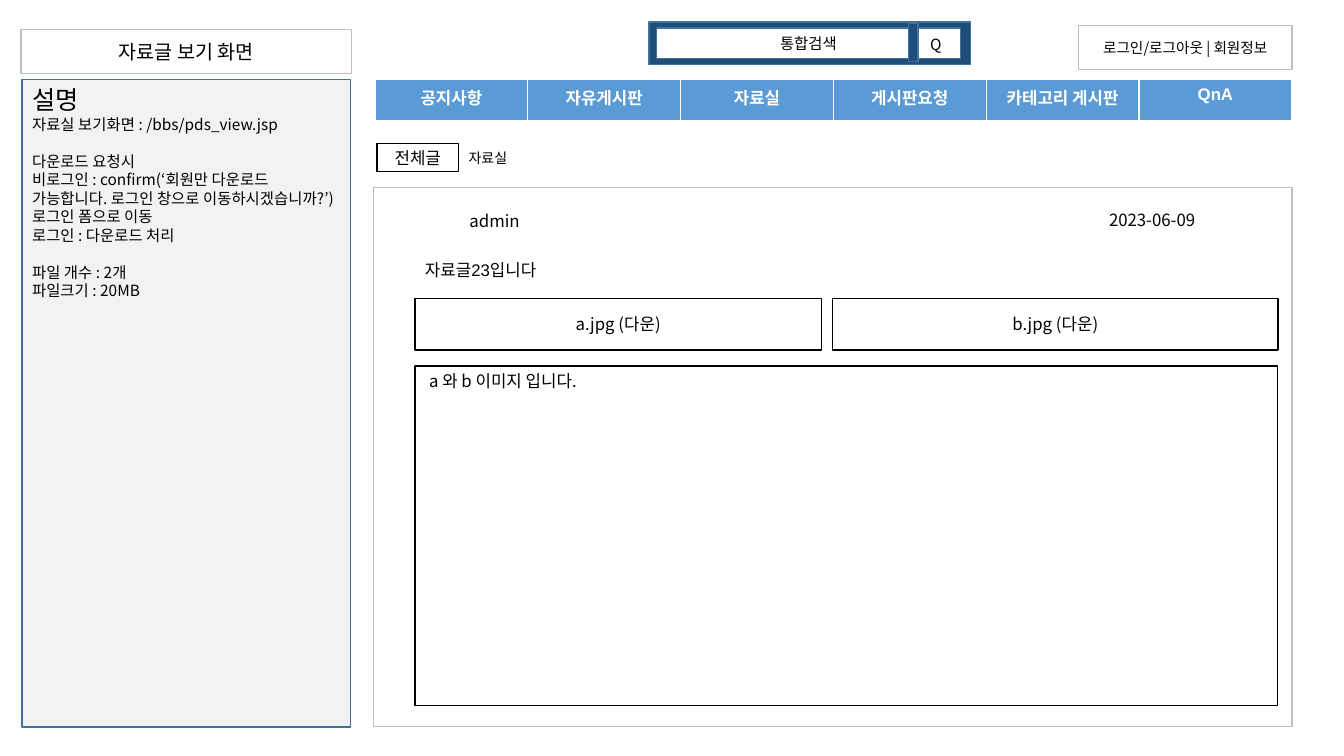
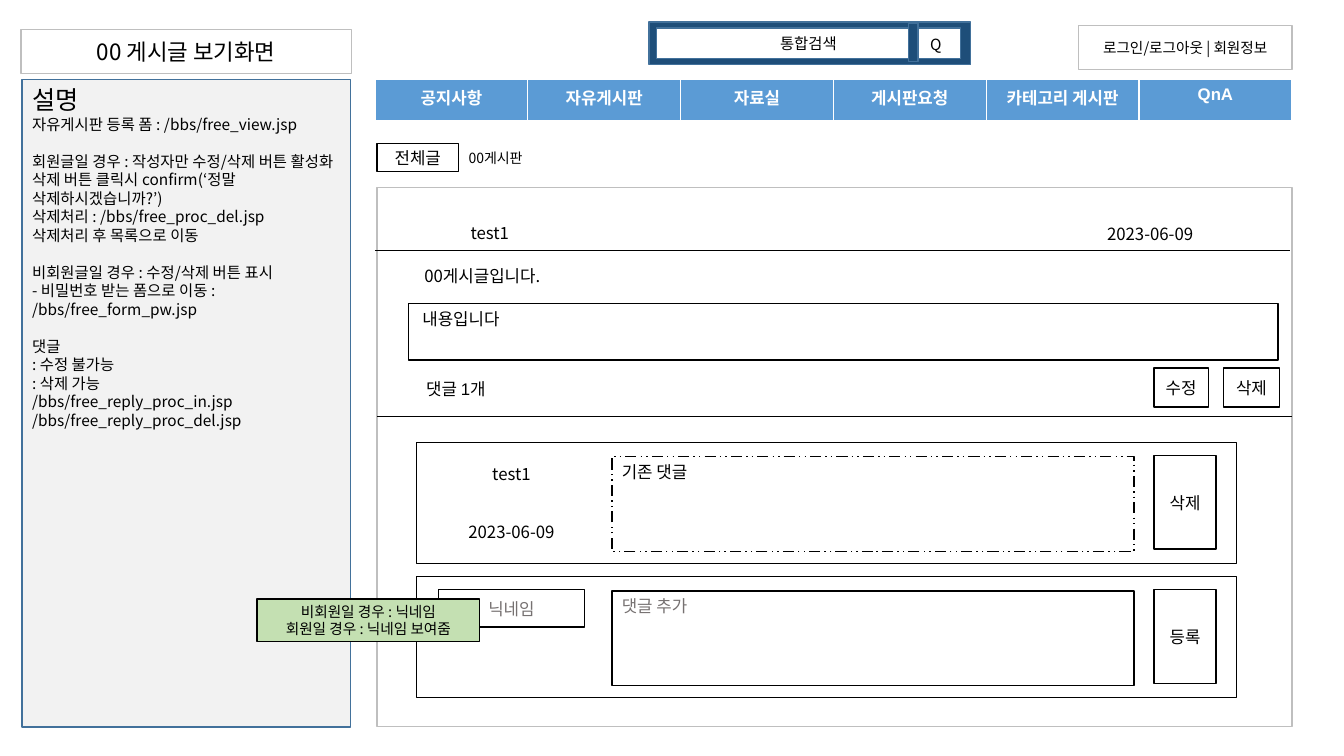
"""Build two wireframe slides of a bulletin board: a file post and a free post."""
from lxml import etree
from pptx import Presentation
from pptx import util as u
from pptx.dml.color import RGBColor
from pptx.enum import dml, shapes, text
from pptx.oxml import ns

WHITE = RGBColor(0xFF, 0xFF, 0xFF)
BLACK = RGBColor(0x00, 0x00, 0x00)
GRAY = RGBColor(0xBF, 0xBF, 0xBF)
HINT = RGBColor(0x76, 0x71, 0x71)
PANEL = RGBColor(0xF2, 0xF2, 0xF2)
NAVY = RGBColor(0x1E, 0x4E, 0x79)
EDGE = RGBColor(0x42, 0x71, 0x9B)
BLUE = RGBColor(0x5B, 0x9B, 0xD5)
GREEN = RGBColor(0xC4, 0xE0, 0xB2)
KOREAN, LATIN = "Noto Sans CJK KR", "Arial"
LEADING = 1.2

MENU = ["공지사항", "자유게시판", "자료실", "게시판요청", "카테고리 게시판", "QnA"]
LEFT = {"align": text.PP_ALIGN.LEFT}
TOP_LEFT = {**LEFT, "anchor": text.MSO_ANCHOR.TOP}
INDENTED = {**TOP_LEFT, "indent": 0.1}
PLAIN = {"line": None}

FILE_POST = {
    "title": "자료글 보기 화면",
    "title_size": 14,
    "crumb": "자료실",
    "frame": (9.42, 4.72, 23.14, 13.59),
    "notes": [
        ["자료실 보기화면 : /bbs/pds_view.jsp"],
        ["다운로드 요청시",
         "비로그인 : confirm(‘회원만 다운로드 가능합니다. 로그인 창으로 이동하시겠습니까?’)로그인 폼으로 이동",
         "로그인 : 다운로드 처리"],
        ["파일 개수 : 2개", "파일크기 : 20MB"],
    ],
    "parts": [
        ("자료글23입니다", (10.46, 6.27, 21.74, 1.04), {**PLAIN, **LEFT, "font": LATIN}),
        ("admin", (10.46, 5.05, 4.01, 1.04), PLAIN),
        ("2023-06-09", (25.86, 5.03, 6.35, 1.04), PLAIN),
        ("a 와 b 이미지 입니다.", (10.46, 9.22, 21.74, 8.56), INDENTED),
        ("a.jpg (다운)", (10.46, 7.52, 10.24, 1.3), {}),
        ("b.jpg (다운)", (20.98, 7.52, 11.23, 1.3), {}),
    ],
}
FREE_POST = {
    "title": "00 게시글 보기화면",
    "title_size": 16,
    "crumb": "00게시판",
    "frame": (9.5, 4.72, 23.06, 13.59),
    "notes": [
        ["자유게시판 등록 폼 : /bbs/free_view.jsp"],
        ["회원글일 경우 : 작성자만 수정/삭제 버튼 활성화",
         "삭제 버튼 클릭시 confirm(‘정말 삭제하시겠습니까?’)",
         "삭제처리 : /bbs/free_proc_del.jsp",
         "삭제처리 후 목록으로 이동"],
        ["비회원글일 경우 : 수정/삭제 버튼 표시",
         "- 비밀번호 받는 폼으로 이동 : /bbs/free_form_pw.jsp"],
        ["댓글", ": 수정 불가능", ": 삭제 가능",
         "/bbs/free_reply_proc_in.jsp", "/bbs/free_reply_proc_del.jsp"],
    ],
    "parts": [
        ("수정", (29.08, 9.27, 1.37, 0.99), {}),
        ("00게시글입니다.", (10.34, 6.53, 21.89, 0.84), {**PLAIN, **LEFT, "indent": 0.1}),
        ("삭제", (30.84, 9.27, 1.4, 0.99), {}),
        ("내용입니다", (10.29, 7.65, 21.92, 1.42), INDENTED),
        ("test1", (10.34, 5.41, 4.01, 0.89), PLAIN),
        ("2023-06-09", (25.81, 5.49, 6.35, 0.81), PLAIN),
        ("댓글 1개", (10.49, 9.42, 4.22, 0.76), {**PLAIN, **LEFT, "font": LATIN}),
    ],
}
REPLIES = [
    {"top": 11.15, "name": "test1", "name_style": PLAIN, "date": "2023-06-09", "body": "기존 댓글",
     "body_style": {"dash": dml.MSO_LINE.DASH_DOT_DOT}, "button": "삭제"},
    {"top": 14.53, "name": "닉네임", "name_style": {"color": HINT}, "date": None, "body": "댓글 추가",
     "body_style": {"color": HINT}, "button": "등록"},
]
RULES = [(9.5, 32.56, 10.49), (9.45, 32.51, 6.3)]
CALLOUT = ["비회원일 경우 : 닉네임", "회원일 경우 : 닉네임 보여줌"]


def style_font(para, size, color, font, bold=False):
    """Format every run of a paragraph, for Latin and Korean letters."""
    for span in para.runs:
        span.font.size = u.Pt(size)
        span.font.name = font
        span.font.bold = bold
        span.font.color.rgb = color
        east = etree.SubElement(span.font._element, ns.qn("a:ea"))
        east.set("typeface", KOREAN)


def add_box(parent, rect, lines=(), size=12, fill=WHITE, line=BLACK, color=BLACK, font=KOREAN,
            align=text.PP_ALIGN.CENTER, anchor=text.MSO_ANCHOR.MIDDLE, indent=0, dash=None):
    """Add a rectangle with one paragraph for each line."""
    box = parent.add_shape(shapes.MSO_SHAPE.RECTANGLE, *map(u.Cm, rect))
    box.shadow.inherit = False
    box.fill.solid()
    box.fill.fore_color.rgb = fill
    if line is None:
        box.line.fill.background()
    else:
        box.line.color.rgb = line
        box.line.width = u.Pt(1)
        if dash:
            box.line.dash_style = dash
    frame = box.text_frame
    frame.word_wrap = True
    frame.vertical_anchor = anchor
    frame.margin_left += u.Cm(indent)
    frame.text = "\n".join(lines)
    for para in frame.paragraphs:
        para.alignment = align
        para.line_spacing = u.Pt(size * LEADING)
        style_font(para, size, color, font)
    return box


def add_label(parent, rect, label, size, align):
    """Add a small text box without fill."""
    box = parent.add_textbox(*map(u.Cm, rect))
    box.text_frame.word_wrap = True
    box.text_frame.vertical_anchor = text.MSO_ANCHOR.MIDDLE
    box.text_frame.text = label
    para = box.text_frame.paragraphs[0]
    para.alignment = align
    style_font(para, size, BLACK, KOREAN)


def add_search(page):
    """Add the grouped search bar."""
    group = page.shapes.add_group_shape().shapes
    add_box(group, (16.36, 0.56, 8.1, 1.07), fill=NAVY, line=EDGE)
    add_box(group, (16.54, 0.71, 7.67, 0.76), ["통합검색"], size=11, line=EDGE)
    add_box(group, (22.89, 0.58, 0.25, 0.97), fill=NAVY, line=EDGE)
    add_label(group, (23.14, 0.61, 0.89, 1.02), "Q", 11, text.PP_ALIGN.CENTER)


def add_menu(page):
    """Add the menu bar as a table of one row."""
    rect = map(u.Cm, (9.45, 2.01, 23.11, 1.04))
    table = page.shapes.add_table(1, len(MENU), *rect).table
    table.horz_banding = False
    for cell, label in zip(table.rows[0].cells, MENU):
        cell.fill.solid()
        cell.fill.fore_color.rgb = BLUE
        cell.text_frame.text = label
        para = cell.text_frame.paragraphs[0]
        para.alignment = text.PP_ALIGN.CENTER
        style_font(para, 12, WHITE, LATIN, bold=True)


def add_notes(page, groups):
    """Add the description panel, with a gap before each later group."""
    lines = ["설명"] + [line for group in groups for line in group]
    panel = add_box(page.shapes, (0.56, 2.01, 8.28, 16.31), lines, size=11,
                    fill=PANEL, line=EDGE, **TOP_LEFT)
    paras = panel.text_frame.paragraphs
    paras[0].runs[0].font.size = u.Pt(18)
    paras[0].line_spacing = u.Pt(18 * LEADING)
    start = 1
    for group in groups[:-1]:
        start += len(group)
        paras[start].space_before = u.Pt(11 * LEADING)


def add_reply(page, reply):
    """Add one reply row: author, text and button."""
    top = reply["top"]
    add_box(page.shapes, (10.49, top, 20.68, 3.05))
    add_box(page.shapes, (11.05, top + 0.33, 3.68, 0.94), [reply["name"]], **reply["name_style"])
    if reply["date"]:
        add_box(page.shapes, (11.05, top + 1.78, 3.68, 0.94), [reply["date"]], **PLAIN)
    add_box(page.shapes, (15.42, top + 0.36, 13.16, 2.39), [reply["body"]],
            **TOP_LEFT, **reply["body_style"])
    add_box(page.shapes, (29.08, top + 0.33, 1.57, 2.36), [reply["button"]])


def add_rule(page, left, right, top):
    """Add a thin horizontal line."""
    rule = page.shapes.add_connector(shapes.MSO_CONNECTOR.STRAIGHT,
                                     *map(u.Cm, (left, top, right, top)))
    rule.line.color.rgb = BLACK
    rule.line.width = u.Pt(0.75)
    etree.SubElement(rule._element.spPr, ns.qn("a:effectLst"))


def add_screen(deck, screen):
    """Add a slide with the shared parts and the parts of one screen."""
    page = deck.slides.add_slide(deck.slide_layouts[6])
    add_box(page.shapes, (27.18, 0.64, 5.38, 1.12), ["로그인/로그아웃 | 회원정보"],
            size=10.5, line=GRAY)
    add_search(page)
    add_menu(page)
    add_box(page.shapes, (0.53, 0.74, 8.33, 1.12), [screen["title"]],
            size=screen["title_size"], line=GRAY)
    add_notes(page, screen["notes"])
    add_box(page.shapes, (9.5, 3.61, 2.06, 0.71), ["전체글"])
    add_label(page.shapes, (11.56, 3.63, 2.9, 0.69), screen["crumb"], 10, text.PP_ALIGN.LEFT)
    add_box(page.shapes, screen["frame"], line=GRAY)
    for label, rect, style in screen["parts"]:
        add_box(page.shapes, rect, [label], **style)
    return page


def main():
    """Build and save the deck."""
    deck = Presentation()
    deck.slide_width, deck.slide_height = u.Cm(33.87), u.Cm(19.05)
    add_screen(deck, FILE_POST)
    page = add_screen(deck, FREE_POST)
    for reply in REPLIES:
        add_reply(page, reply)
    for rule in RULES:
        add_rule(page, *rule)
    add_box(page.shapes, (6.48, 15.09, 5.61, 1.07), CALLOUT, size=10.5, fill=GREEN)
    deck.save("out.pptx")


if __name__ == "__main__":
    main()
